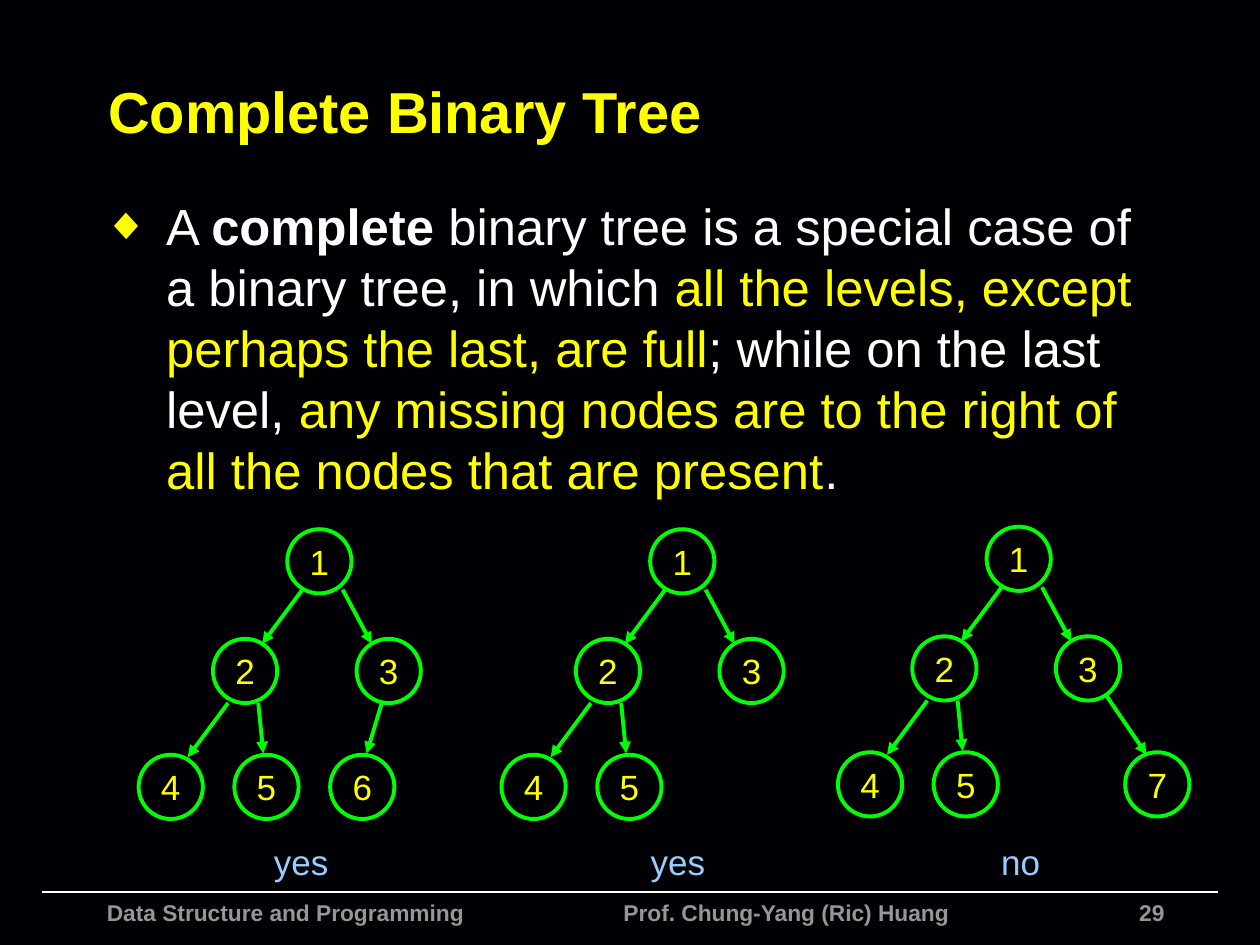
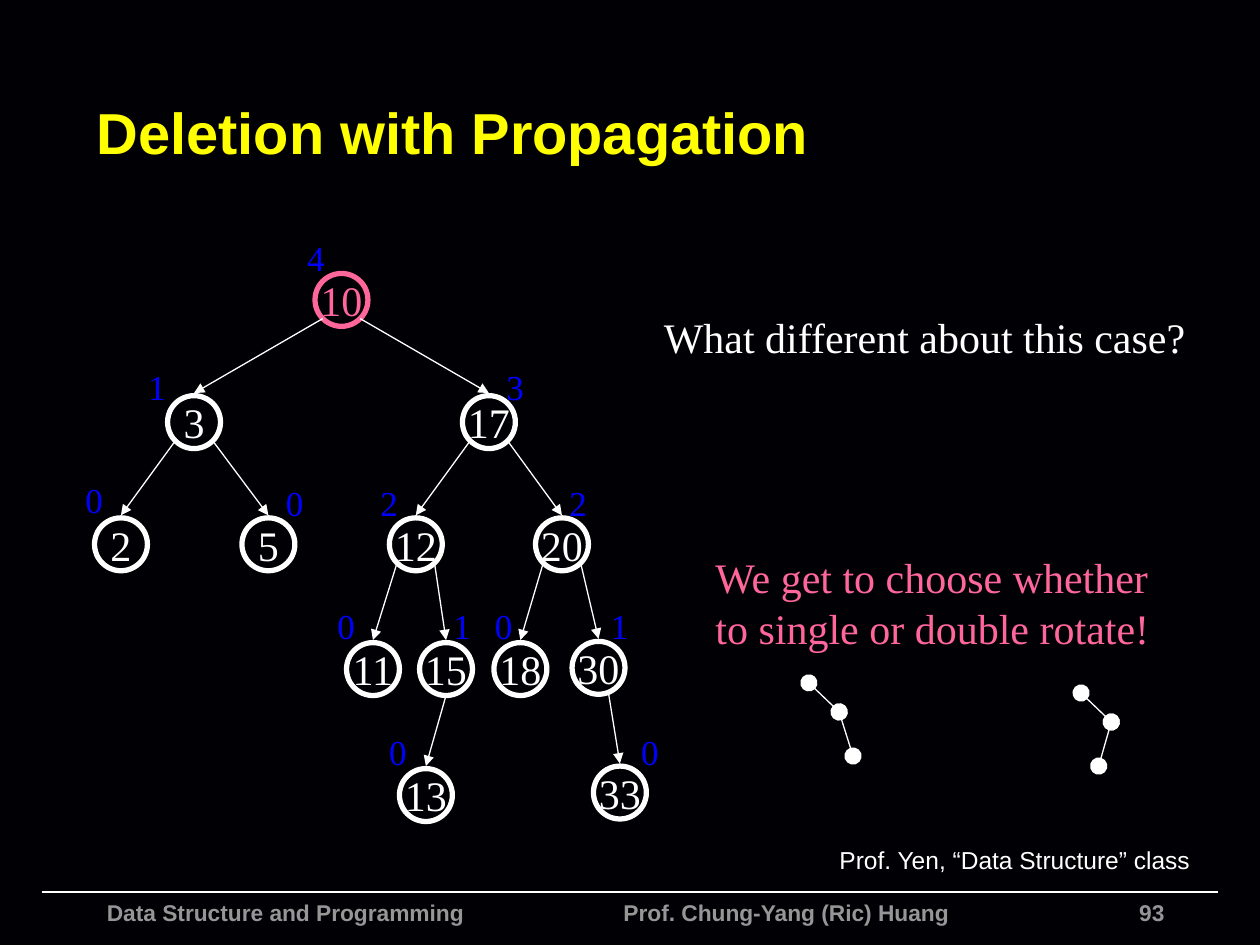
from math import cos, radians, sin

from lxml import etree
from pptx import Presentation
from pptx.dml.color import RGBColor
from pptx.enum.shapes import MSO_CONNECTOR, MSO_SHAPE
from pptx.enum.text import MSO_ANCHOR, PP_ALIGN
from pptx.oxml.ns import qn
from pptx.util import Inches, Pt

OVAL = MSO_SHAPE.OVAL
STRAIGHT = MSO_CONNECTOR.STRAIGHT
MIDDLE, TOP = MSO_ANCHOR.MIDDLE, MSO_ANCHOR.TOP
LEFT, CENTER, RIGHT = PP_ALIGN.LEFT, PP_ALIGN.CENTER, PP_ALIGN.RIGHT

COLORS = {
    "background": "010004",
    "white": "FFFFFF",
    "yellow": "FFFF00",
    "green": "00FF00",
    "grey": "969696",
    "sky": "99CCFF",
    "pink": "FF6699",
    "blue": "0000FF",
}

SANS, SERIF = "Arial", "Times New Roman"
STYLES = {
    "title": {"name": SANS, "size": 33, "bold": True, "color": "yellow"},
    "footer": {"name": SANS, "size": 13, "bold": True, "color": "grey"},
    "body": {"name": SANS, "size": 29, "color": "white"},
    "strong": {"name": SANS, "size": 29, "bold": True, "color": "white"},
    "highlight": {"name": SANS, "size": 29, "color": "yellow"},
    "node": {"name": SANS, "size": 20, "color": "yellow"},
    "verdict": {"name": SANS, "size": 20, "color": "sky"},
    "credit": {"name": SANS, "size": 14, "color": "white"},
    "key": {"name": SERIF, "size": 24, "color": "white"},
    "removed key": {"name": SERIF, "size": 24, "color": "pink"},
    "height": {"name": SERIF, "size": 20, "color": "blue"},
}

COMPLETE_NODE_SIZE = 0.51
COMPLETE_NODES = {
    "1": (1.18, 0),
    "2": (0.59, 0.87),
    "3": (1.73, 0.87),
    "4": (0, 1.79),
    "5": (0.76, 1.79),
    "6": (1.52, 1.79),
    "7": (2.28, 1.79),
}
ARROWS_TO = {
    "2": ((1.3, 0.48), (0.98, 0.91)),
    "3": ((1.62, 0.48), (1.85, 0.91)),
    "4": ((0.71, 1.38), (0.39, 1.81)),
    "5": ((0.95, 1.38), (0.99, 1.78)),
    "6": ((1.93, 1.38), (1.81, 1.78)),
    "7": ((2.13, 1.34), (2.45, 1.81)),
}
COMPLETE_TREES = [
    ((1.1, 4.2), "123456", "yes", 1.89),
    ((3.98, 4.2), "12345", "yes", 4.88),
    ((6.65, 4.18), "123457", "no", 7.6),
]

AVL_RADIUS = 0.21
AVL_ORIGIN = (0.58, 1.83)
AVL_NODES = {
    "10": ((1.92, 0.34), None, 0, "4", (1.76, 0)),
    "3": ((0.75, 1.31), "10", -45, "1", (0.5, 1.02)),
    "17": ((3.09, 1.31), "10", 45, "3", (3.34, 1.02)),
    "2": ((0.17, 2.28), "3", -45, "0", (0, 1.92)),
    "5": ((1.34, 2.28), "3", 45, "0", (1.59, 1.94)),
    "12": ((2.51, 2.28), "17", -45, "2", (2.34, 1.94)),
    "20": ((3.67, 2.28), "17", 45, "2", (3.84, 1.94)),
    "11": ((2.17, 3.27), "12", -45, "0", (2, 2.92)),
    "15": ((2.75, 3.27), "12", 45, "1", (2.92, 2.92)),
    "18": ((3.34, 3.27), "20", -45, "0", (3.25, 2.92)),
    "30": ((3.96, 3.26), "20", 45, "1", (4.17, 2.92)),
    "13": ((2.59, 4.27), "15", 0, "0", (2.41, 3.92)),
    "33": ((4.13, 4.25), "30", 22, "0", (4.41, 3.92)),
}


def color(name):
    """Return a palette colour."""
    return RGBColor.from_string(COLORS[name])


def add_run(paragraph, text, style):
    """Add text to a paragraph in a named style."""
    run = paragraph.add_run()
    run.text = text
    values = dict(STYLES[style])
    run.font.color.rgb = color(values.pop("color"))
    values["size"] = Pt(values["size"])
    for attribute, value in values.items():
        setattr(run.font, attribute, value)


def fill_frame(frame, lines, style, align, anchor, wrap, inset):
    """Write lines into a text frame."""
    settings = {
        "word_wrap": wrap,
        "vertical_anchor": anchor,
        "margin_left": Inches(inset),
        "margin_right": Inches(inset),
        "margin_top": Inches(0.05),
        "margin_bottom": Inches(0.05),
    }
    for attribute, value in settings.items():
        setattr(frame, attribute, value)
    for index, line in enumerate(lines):
        paragraph = frame.add_paragraph() if index else frame.paragraphs[0]
        paragraph.alignment = align
        add_run(paragraph, line, style)


def add_text(slide, box, text, style, align=LEFT, anchor=TOP, wrap=False, inset=0.1):
    """Add a text box and return its text frame."""
    frame = slide.shapes.add_textbox(*map(Inches, box)).text_frame
    fill_frame(frame, text.split("\n"), style, align, anchor, wrap, inset)
    return frame


def add_line(slide, start, end, line_color, width, head=None, tail=None, size="med"):
    """Add a straight line with optional end marks."""
    line = slide.shapes.add_connector(STRAIGHT, *map(Inches, (*start, *end)))
    line.line.color.rgb = color(line_color)
    line.line.width = Pt(width)
    outline = line.line._get_or_add_ln()
    for tag, mark in (("a:headEnd", head), ("a:tailEnd", tail)):
        if mark:
            etree.SubElement(outline, qn(tag), type=mark, w=size, len=size)
    etree.SubElement(line._element.spPr, qn("a:effectLst"))


def add_node(slide, position, size, label, style, line_color, width):
    """Add a round tree node with its label."""
    node = slide.shapes.add_shape(OVAL, *map(Inches, (*position, size, size)))
    node.shadow.inherit = False
    node.fill.background()
    node.line.color.rgb = color(line_color)
    node.line.width = Pt(width)
    fill_frame(node.text_frame, [label], style, CENTER, MIDDLE, False, 0.05)


def shift(origin, offset):
    """Move an offset to an origin."""
    return origin[0] + offset[0], origin[1] + offset[1]


def add_base_slide(presentation, title, title_box, number):
    """Add a slide with background, title and footer."""
    slide = presentation.slides.add_slide(presentation.slide_layouts[6])
    slide.background.fill.solid()
    slide.background.fill.fore_color.rgb = color("background")
    add_line(slide, (0.33, 7.08), (9.67, 7.08), "white", 1)
    add_text(slide, (0.75, 7.08, 3.5, 0.32), "Data Structure and Programming", "footer")
    add_text(slide, (4.85, 7.08, 3.2, 0.32), "Prof. Chung-Yang (Ric) Huang", "footer")
    add_text(slide, (6.17, 7.08, 3.17, 0.32), number, "footer", RIGHT, wrap=True)
    add_text(slide, title_box, title, "title", anchor=MIDDLE, wrap=True)
    return slide


def add_definition(slide, box):
    """Add the bulleted definition with its highlights."""
    frame = add_text(slide, box, "A ", "body", wrap=True)
    paragraph = frame.paragraphs[0]
    paragraph.space_before = Pt(2)
    for text, style in (
        ("complete", "strong"),
        (" binary tree is a special case of a binary tree, in which ", "body"),
        ("all the levels, except perhaps the last, are full", "highlight"),
        ("; while on the last level, ", "body"),
        ("any missing nodes are to the right of all the nodes that are present", "highlight"),
        (".", "body"),
    ):
        add_run(paragraph, text, style)
    properties = paragraph._p.get_or_add_pPr()
    properties.set("marL", str(Inches(0.5)))
    properties.set("indent", str(-Inches(0.5)))
    bullet_color = etree.SubElement(properties, qn("a:buClr"))
    etree.SubElement(bullet_color, qn("a:srgbClr"), val=COLORS["yellow"])
    etree.SubElement(properties, qn("a:buSzPct"), val="90000")
    etree.SubElement(properties, qn("a:buFont"), typeface=SANS)
    etree.SubElement(properties, qn("a:buChar"), char="◆")


def add_complete_tree(slide, origin, keys):
    """Draw the chosen nodes of a three-level tree."""
    for key in keys:
        position = shift(origin, COMPLETE_NODES[key])
        add_node(slide, position, COMPLETE_NODE_SIZE, key, "node", "green", 2.25)
        if key in ARROWS_TO:
            start, end = (shift(origin, point) for point in ARROWS_TO[key])
            add_line(slide, start, end, "green", 2.25, tail="triangle")


def add_avl_tree(slide, origin):
    """Draw the AVL tree with heights beside its nodes."""
    centers = {}
    for key, (offset, parent, angle, height, height_offset) in AVL_NODES.items():
        position = shift(origin, offset)
        centers[key] = shift(position, (AVL_RADIUS, AVL_RADIUS))
        style, line_color = ("key", "white") if parent else ("removed key", "pink")
        add_node(slide, position, 2 * AVL_RADIUS, key, style, line_color, 3)
        add_text(slide, (*shift(origin, height_offset), 0.34, 0.43), height, "height")
        if parent:
            turn = radians(angle)
            departure = (AVL_RADIUS * sin(turn), AVL_RADIUS * cos(turn))
            start = shift(centers[parent], departure)
            end = shift(centers[key], (0, -AVL_RADIUS - 0.02))
            add_line(slide, start, end, "white", 0.75, tail="triangle")


def add_rotation_sketch(slide, origin, last):
    """Draw three linked dots that show a rotation case."""
    points = [shift(origin, offset) for offset in ((0, 0), (0.24, 0.23), last)]
    for start, end in zip(points, points[1:]):
        add_line(slide, start, end, "white", 0.75, "oval", "oval", "lg")


def build_complete_tree_slide(presentation):
    """Build the slide on complete binary trees."""
    slide = add_base_slide(presentation, "Complete Binary Tree", (0.76, 0.37, 8.84, 1.01), "29")
    add_definition(slide, (0.72, 1.5, 8.5, 2.6))
    for origin, keys, verdict, verdict_left in COMPLETE_TREES:
        add_complete_tree(slide, origin, keys)
        add_text(slide, (verdict_left, 6.62, 1, 0.43), verdict, "verdict", CENTER, wrap=True, inset=0.05)


def build_deletion_slide(presentation):
    """Build the slide on deletion with propagation."""
    slide = add_base_slide(presentation, "Deletion with Propagation", (0.67, 0.42, 8.5, 1.25), "93")
    add_avl_tree(slide, AVL_ORIGIN)
    question = add_text(slide, (5.17, 2.42, 4.42, 0.5), "What different about this case?", "key", wrap=True)
    question.paragraphs[0].space_before = Pt(2)
    answer = "We get to choose whether\nto single or double rotate!"
    add_text(slide, (5.58, 4.33, 3.74, 0.9), answer, "removed key")
    add_rotation_sketch(slide, (6.42, 5.42), (0.35, 0.58))
    add_rotation_sketch(slide, (8.58, 5.5), (0.14, 0.58))
    credit = "Prof. Yen, “Data Structure” class"
    add_text(slide, (6.61, 6.66, 2.89, 0.33), credit, "credit", CENTER, inset=0.05)


def main():
    """Build and save the presentation."""
    presentation = Presentation()
    presentation.slide_width = Inches(10)
    presentation.slide_height = Inches(7.5)
    build_complete_tree_slide(presentation)
    build_deletion_slide(presentation)
    presentation.save("out.pptx")


if __name__ == "__main__":
    main()
